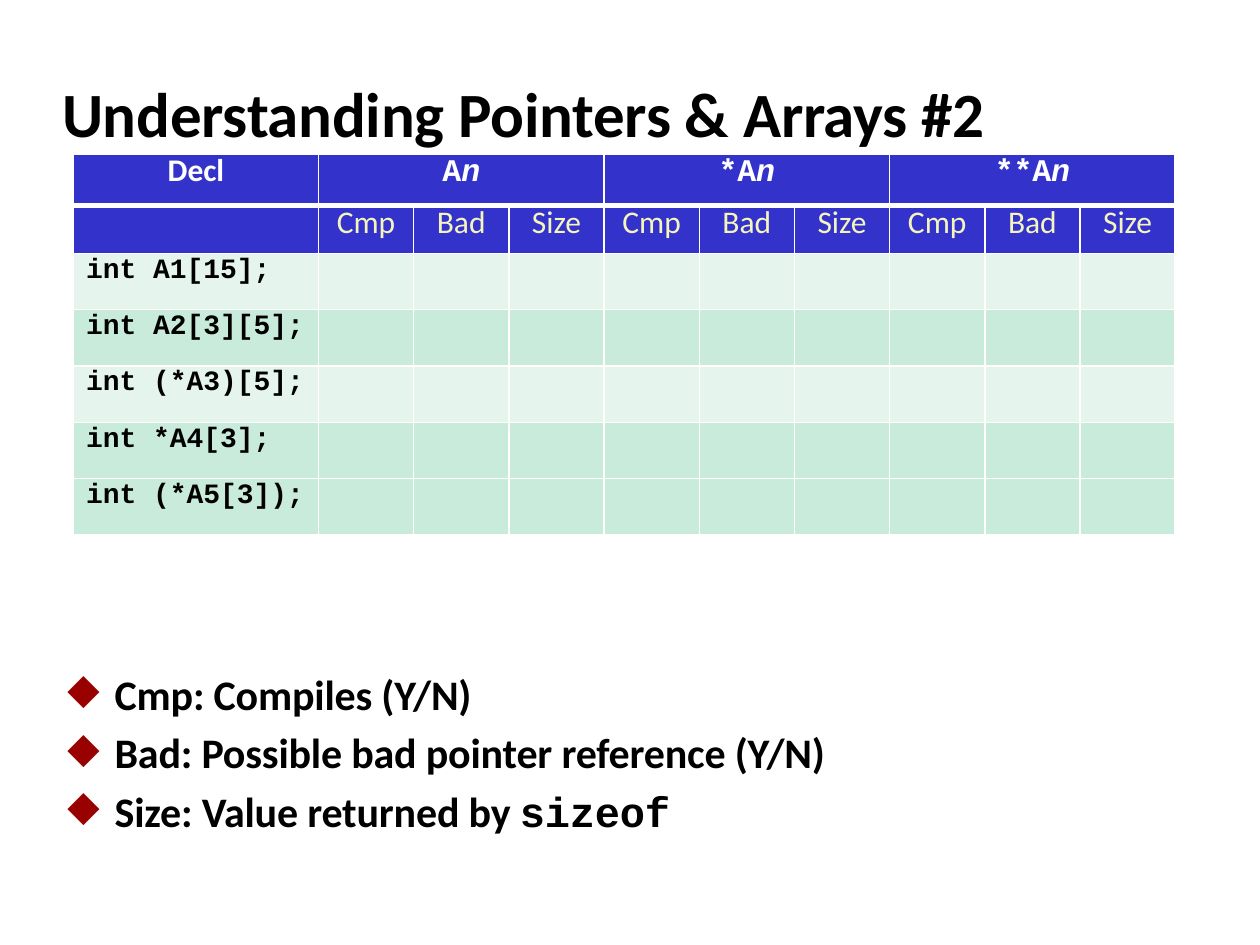
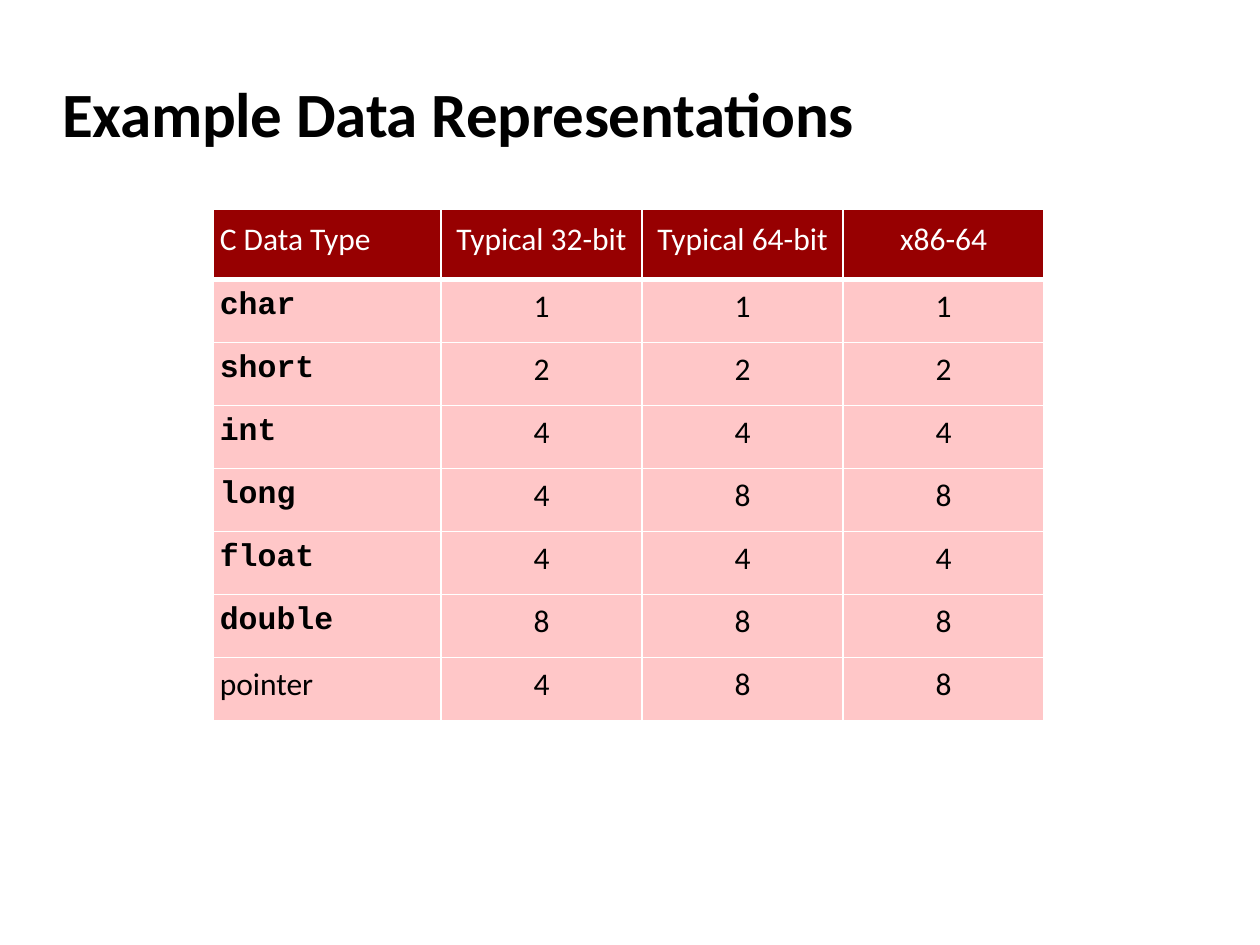
"""Build two slides on C pointers, arrays and data type sizes."""
from lxml import etree
from pptx import Presentation
from pptx.dml.color import RGBColor
from pptx.enum import text
from pptx.oxml import ns
from pptx.util import Pt

COLORS = {
    "black": "000000", "white": "FFFFFF", "bullet": "990000",
    "blue": "3333CC", "cream": "F5F4BC", "mint": "E5F5EE", "green": "C9EBDC",
    "red": "970001", "pink": "FFC7C8",
}
SANS, MONO = "Calibri", "Courier New"
CENTER, LEFT = text.PP_ALIGN.CENTER, text.PP_ALIGN.LEFT


def write(p, words, font=SANS, size=18, color="black", bold=False, italic=False,
          align=LEFT, spacing=0, line=None):
    """Add a formatted run to a paragraph."""
    p.alignment = align
    if line:
        p.line_spacing = Pt(line)
    r = p.add_run()
    r.text = words
    r.font.name, r.font.size = font, Pt(size)
    r.font.bold, r.font.italic = bold, italic
    r.font.color.rgb = RGBColor.from_string(COLORS[color])
    if spacing:
        r._r.get_or_add_rPr().set("spc", str(spacing))


def add_grid(s, left, top, widths, heights, fills, indent):
    """Add a table with white rules and one fill per row."""
    frame = s.shapes.add_table(len(heights), len(widths), Pt(left), Pt(top),
                               Pt(sum(widths)), Pt(sum(heights)))
    tbl = frame.table
    tbl.horz_banding = False
    for col, w in zip(tbl.columns, widths):
        col.width = Pt(w)
    for i, (row, h) in enumerate(zip(tbl.rows, heights)):
        row.height = Pt(h)
        for j, cell in enumerate(row.cells):
            cell.margin_left = Pt(indent if j == 0 and fills[i] != "blue" else 0)
            cell.margin_right = cell.margin_top = cell.margin_bottom = 0
            tcPr = cell._tc.get_or_add_tcPr()
            for side in "LRTB":
                thick = (i, side) in ((0, "B"), (1, "T"))
                ln = etree.SubElement(tcPr, ns.qn("a:ln" + side), w=str(Pt(3 if thick else 1)))
                fill = etree.SubElement(ln, ns.qn("a:solidFill"))
                etree.SubElement(fill, ns.qn("a:srgbClr"), val=COLORS["white"])
            cell.fill.solid()
            cell.fill.fore_color.rgb = RGBColor.from_string(COLORS[fills[i]])
    return tbl


prs = Presentation()
prs.slide_width, prs.slide_height = Pt(720), Pt(540)

slides = []
for title, width in (("Understanding Pointers & Arrays #2", 533.5),
                     ("Example Data Representations", 458)):
    s = prs.slides.add_slide(prs.slide_layouts[6])
    slides.append(s)
    tf = s.shapes.add_textbox(Pt(34.5), Pt(41.75), Pt(width), Pt(45.5)).text_frame
    tf.word_wrap = True
    tf.margin_left, tf.margin_top, tf.margin_right, tf.margin_bottom = Pt(1), Pt(1), 0, 0
    write(tf.paragraphs[0], title, size=36, bold=True, spacing=-15)
pointers, sizes = slides

declarations = ["int A1[15];", "int A2[3][5];", "int (*A3)[5];", "int *A4[3];", "int (*A5[3]);"]
fills = ["blue", "blue", "mint", "green", "mint", "green", "green"]
tbl = add_grid(pointers, 42, 88, [140] + [54.4] * 9, [29.5, 27.4] + [32.15] * 5, fills, 7.2)
write(tbl.cell(0, 0).text_frame.paragraphs[0], "Decl", color="white", bold=True,
      align=CENTER, line=20.7)
for i, stars in enumerate(("", "*", "**")):
    first = 1 + 3 * i
    head = tbl.cell(0, first)
    head.merge(tbl.cell(0, first + 2))
    head.margin_top = Pt(0.6)
    for words, italic in ((stars + "A", False), ("n", True)):
        write(head.text_frame.paragraphs[0], words, font=MONO, color="white", bold=True,
              italic=italic, align=CENTER, spacing=-10)
    for j, label in enumerate(("Cmp", "Bad", "Size")):
        write(tbl.cell(1, first + j).text_frame.paragraphs[0], label, color="cream",
              align=CENTER, line=20.8)
for i, declaration in enumerate(declarations, 2):
    cell = tbl.cell(i, 0)
    cell.margin_top = Pt(0.9)
    write(cell.text_frame.paragraphs[0], declaration, font=MONO, size=16, bold=True)

legend = [
    [("Cmp: Compiles (Y/N)", SANS)],
    [("Bad: Possible bad pointer reference (Y/N)", SANS)],
    [("Size: Value returned by ", SANS), ("sizeof", MONO)],
]
tf = pointers.shapes.add_textbox(Pt(37.5), Pt(376), Pt(439), Pt(103)).text_frame
tf.word_wrap = True
tf.margin_left, tf.margin_top, tf.margin_right, tf.margin_bottom = 0, Pt(5.8), 0, 0
for i, runs in enumerate(legend):
    p = tf.add_paragraph() if i else tf.paragraphs[0]
    pPr = p._p.get_or_add_pPr()
    pPr.set("marL", str(Pt(28)))
    pPr.set("indent", str(Pt(-27)))
    clr = etree.SubElement(pPr, ns.qn("a:buClr"))
    etree.SubElement(clr, ns.qn("a:srgbClr"), val=COLORS["bullet"])
    etree.SubElement(pPr, ns.qn("a:buChar"), char="◆")
    if i:
        p.space_before = Pt(4.8)
    for words, font in runs:
        write(p, words, font=font, size=24, bold=True, spacing=-10)

data = [
    ["C Data Type", "Typical 32-bit", "Typical 64-bit", "x86-64"],
    ["char", 1, 1, 1],
    ["short", 2, 2, 2],
    ["int", 4, 4, 4],
    ["long", 4, 8, 8],
    ["float", 4, 4, 4],
    ["double", 8, 8, 8],
    ["pointer", 4, 8, 8],
]
tbl = add_grid(sizes, 122, 119.75, [130] + [114.9] * 3, [40] + [36] * 7,
               ["red"] + ["pink"] * 7, 3.6)
for i, row in enumerate(data):
    for j, value in enumerate(row):
        cell = tbl.cell(i, j)
        keyword = j == 0 and i > 0 and value != "pointer"
        cell.margin_top = Pt(6.5 if i == 0 else 4.8 if keyword else 4.5)
        write(cell.text_frame.paragraphs[0], str(value), font=MONO if keyword else SANS,
              bold=keyword, color="black" if i else "white", align=CENTER if j else LEFT)

prs.save("out.pptx")
